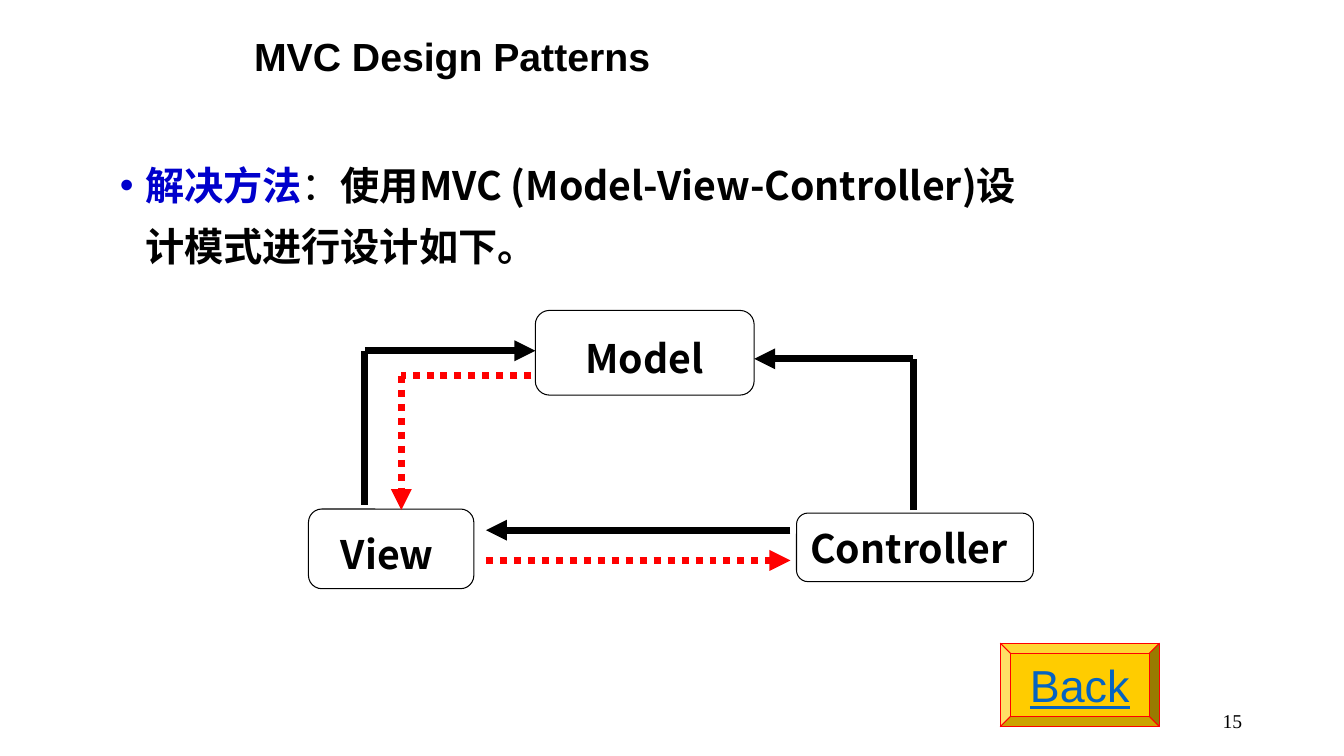
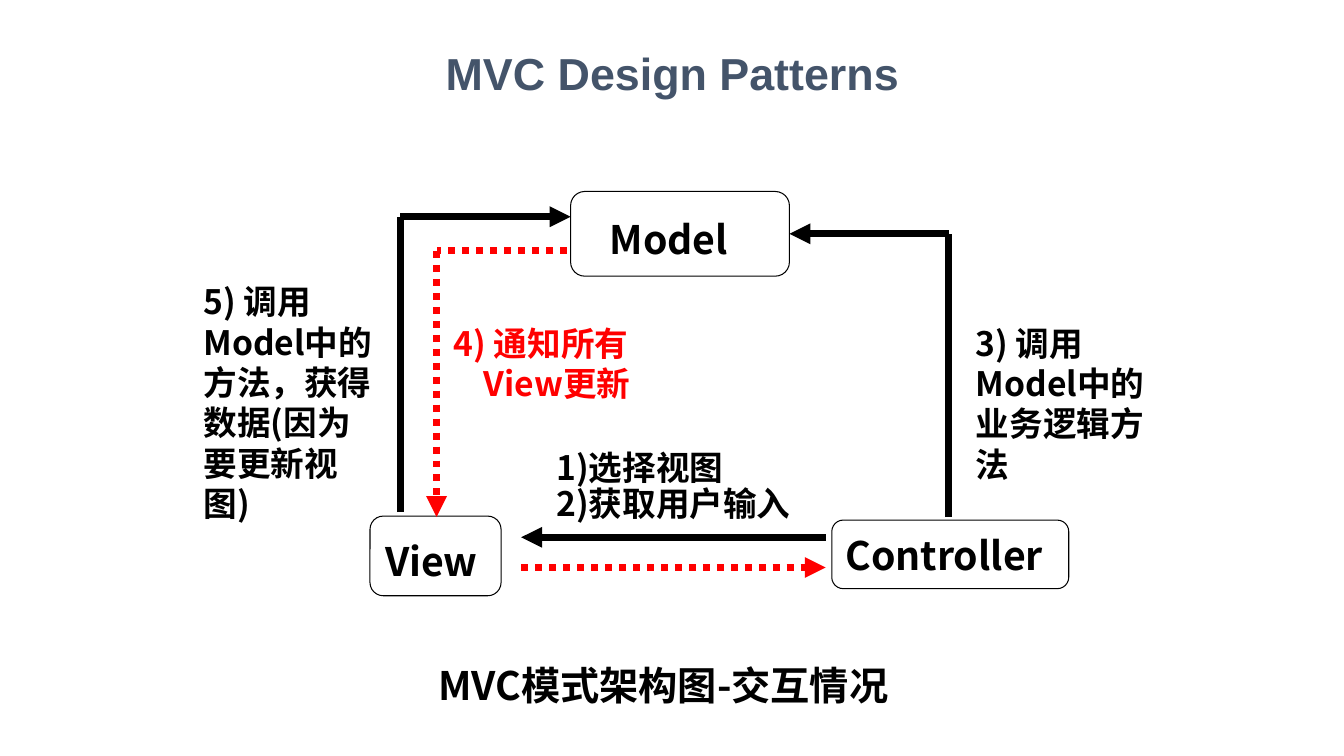
from lxml.etree import SubElement
from pptx import Presentation
from pptx.dml.color import RGBColor
from pptx.enum.dml import MSO_LINE
from pptx.enum.shapes import MSO_CONNECTOR, MSO_SHAPE
from pptx.enum.text import MSO_ANCHOR, MSO_AUTO_SIZE, PP_ALIGN
from pptx.oxml.ns import qn
from pptx.util import Inches, Pt

COLORS = {
    "ink": "000000",
    "paper": "FFFFFF",
    "keyword": "0000CC",
    "notice": "FF0000",
    "heading": "44546A",
    "button": "FFCC00",
    "link": "0563C1",
}
LATIN, CJK, SERIF = "Arial", "Noto Sans CJK SC", "Times New Roman"
TITLE = "MVC Design Patterns"


def rgb(color):
    return RGBColor.from_string(COLORS[color])


def add_run(paragraph, text, size, color="ink", bold=True, font=CJK):
    run = paragraph.add_run()
    run.text = text
    run.font.size = Pt(size)
    run.font.bold = bold
    run.font.color.rgb = rgb(color)
    run.font.name = font
    SubElement(run.font._element, qn("a:ea")).set("typeface", font)
    return run


def set_indent(paragraph, left, first=0.0):
    properties = paragraph._p.get_or_add_pPr()
    properties.set("marL", str(Inches(left)))
    properties.set("indent", str(Inches(first)))
    return properties


def set_frame(frame, anchor=MSO_ANCHOR.TOP, insets=(0.1, 0.05, 0.1, 0.05), wrap=True):
    """Apply anchor, wrapping and left, top, right, bottom insets."""
    frame.auto_size = MSO_AUTO_SIZE.NONE
    frame.word_wrap = wrap
    frame.vertical_anchor = anchor
    (frame.margin_left, frame.margin_top,
     frame.margin_right, frame.margin_bottom) = [Inches(inset) for inset in insets]
    return frame


def add_text(slide, box, lines, size=24, color="ink", bold=True, font=CJK,
             align=PP_ALIGN.LEFT, spacing=None, **frame_options):
    """Add a text box with one paragraph per line."""
    textbox = slide.shapes.add_textbox(*[Inches(length) for length in box])
    frame = set_frame(textbox.text_frame, **frame_options)
    for index, line in enumerate(lines):
        paragraph = frame.add_paragraph() if index else frame.paragraphs[0]
        paragraph.alignment = align
        paragraph.line_spacing = spacing
        add_run(paragraph, line, size, color, bold, font)
    return frame


def add_title(slide, box, size, color, align):
    title = slide.shapes.title
    title.left, title.top, title.width, title.height = [Inches(length) for length in box]
    paragraph = set_frame(title.text_frame, MSO_ANCHOR.MIDDLE).paragraphs[0]
    paragraph.alignment = align
    paragraph.line_spacing = 0.9
    add_run(paragraph, TITLE, size, color, font=LATIN)


def add_panel(slide, preset, box, fill, line):
    panel = slide.shapes.add_shape(preset, *[Inches(length) for length in box])
    panel.shadow.inherit = False
    panel.fill.solid()
    panel.fill.fore_color.rgb = rgb(fill)
    panel.line.color.rgb = rgb(line)
    panel.line.width = Pt(0.75)
    return panel


def add_component(slide, box, name, shift, spacing=1.2):
    """Add an MVC component whose label sits `shift` left of the centre."""
    component = add_panel(slide, MSO_SHAPE.ROUNDED_RECTANGLE, box, "paper", "ink")
    frame = set_frame(component.text_frame, MSO_ANCHOR.MIDDLE,
                      (0.07, 0.03, 0.07 + 2 * shift, 0.03))
    paragraph = frame.paragraphs[0]
    paragraph.alignment = PP_ALIGN.CENTER
    paragraph.line_spacing = spacing
    add_run(paragraph, name, 28)


def add_route(slide, points, color="ink", dotted=False):
    """Join the points with straight lines, with an arrowhead at the last one."""
    for start, end in zip(points, points[1:]):
        leg = slide.shapes.add_connector(
            MSO_CONNECTOR.STRAIGHT, *[Inches(length) for length in start + end])
        leg.line.color.rgb = rgb(color)
        leg.line.width = Pt(5)
        if dotted:
            leg.line.dash_style = MSO_LINE.ROUND_DOT
        if end == points[-1]:
            SubElement(leg.line._get_or_add_ln(), qn("a:tailEnd")).set("type", "triangle")
        SubElement(leg._element.spPr, qn("a:effectLst"))


def add_mvc_diagram(slide, left, top, row_top, view_left, view_width, ports, model_shift):
    """Draw the MVC triangle; left is the view-to-model line, row_top the lower row.

    ports holds the heights below the model's top of the query, the
    controller's call and the notification.
    """
    model_left, model_width = left + 1.69, 2.17
    controller_x, notice_x = left + 5.44, left + 0.36
    query_y, call_y, notice_y = [top + port for port in ports]
    exchange_left, exchange_right = left + 1.2, left + 4.22

    add_component(slide, (model_left, top, model_width, 0.84), "Model", model_shift)
    add_component(slide, (view_left, row_top, view_width, 0.79), "View", 0.04)
    add_component(slide, (left + 4.28, row_top + 0.04, 2.35, 0.68),
                  "Controller", 0.06, 1.0)

    add_route(slide, [(left, row_top - 0.04), (left, query_y), (model_left, query_y)])
    add_route(slide, [(controller_x, row_top + 0.01), (controller_x, call_y),
                      (model_left + model_width, call_y)])
    add_route(slide, [(exchange_right, row_top + 0.21), (exchange_left, row_top + 0.21)])
    add_route(slide, [(exchange_left, row_top + 0.51), (exchange_right, row_top + 0.51)],
              "notice", dotted=True)
    add_route(slide, [(model_left - 0.04, notice_y), (notice_x, notice_y),
                      (notice_x, row_top + 0.01)], "notice", dotted=True)


def add_solution(slide, box):
    frame = add_text(slide, box, ["解决方法"], 28, "keyword", spacing=1.3)
    paragraph = frame.paragraphs[0]
    properties = set_indent(paragraph, 0.25, -0.25)
    SubElement(properties, qn("a:buFont")).set("typeface", LATIN)
    SubElement(properties, qn("a:buChar")).set("char", "•")
    add_run(paragraph, "：", 28, bold=False)
    add_run(paragraph, "使用MVC (Model-View-Controller)设计模式进行设计如下。", 28)


def add_back_button(slide, box):
    button = add_panel(slide, MSO_SHAPE.BEVEL, box, "button", "notice")
    button.adjustments[0] = 0.125
    frame = set_frame(button.text_frame, MSO_ANCHOR.MIDDLE, wrap=False)
    frame.paragraphs[0].alignment = PP_ALIGN.CENTER
    label = add_run(frame.paragraphs[0], "Back", 32, "link", False, LATIN)
    label.font.underline = True


def build_solution_slide(slide):
    add_title(slide, (2.42, 0.25, 8.5, 0.67), 28, "ink", PP_ALIGN.LEFT)
    add_solution(slide, (1.09, 1.41, 9.25, 1.42))
    add_mvc_diagram(slide, left=3.62, top=3.08, row_top=5.05, view_left=3.06,
                    view_width=1.64, ports=(0.4, 0.48, 0.65), model_shift=0)
    add_back_button(slide, (9.92, 6.38, 1.58, 0.83))
    add_text(slide, (9.42, 6.95, 3, 0.4), ["15"], 14, bold=False, font=SERIF,
             align=PP_ALIGN.RIGHT, anchor=MSO_ANCHOR.MIDDLE)


def build_interaction_slide(slide):
    add_title(slide, (2.42, 0.42, 8.5, 0.67), 32, "heading", PP_ALIGN.CENTER)
    add_mvc_diagram(slide, left=3.97, top=1.9, row_top=5.12, view_left=3.67,
                    view_width=1.3, ports=(0.25, 0.42, 0.59), model_shift=0.11)
    add_text(slide, (9.58, 3.15, 1.92, 1.72), ["3) 调用Model中的业务逻辑方法"])
    add_text(slide, (1.92, 2.74, 1.92, 2.53),
             ["5) 调用 Model中的方法，获得数据(因为要更新视图)"])
    add_text(slide, (5.42, 4.43, 2.67, 0.83), ["1)选择视图", "2)获取用户输入"], spacing=0.9)
    notice = add_text(slide, (4.5, 3.15, 2, 0.91), ["4) 通知所有", "View更新"],
                      color="notice", insets=(0, 0.05, 0, 0.05))
    set_indent(notice.paragraphs[1], 0.3)
    add_text(slide, (2.83, 6.51, 7.5, 0.57), ["MVC模式架构图-交互情况"], 28,
             align=PP_ALIGN.CENTER, anchor=MSO_ANCHOR.MIDDLE)


def main():
    deck = Presentation()
    deck.slide_width, deck.slide_height = Inches(13.33), Inches(7.5)
    title_only = deck.slide_layouts[5]
    for build in (build_solution_slide, build_interaction_slide):
        build(deck.slides.add_slide(title_only))
    deck.save("out.pptx")


if __name__ == "__main__":
    main()
